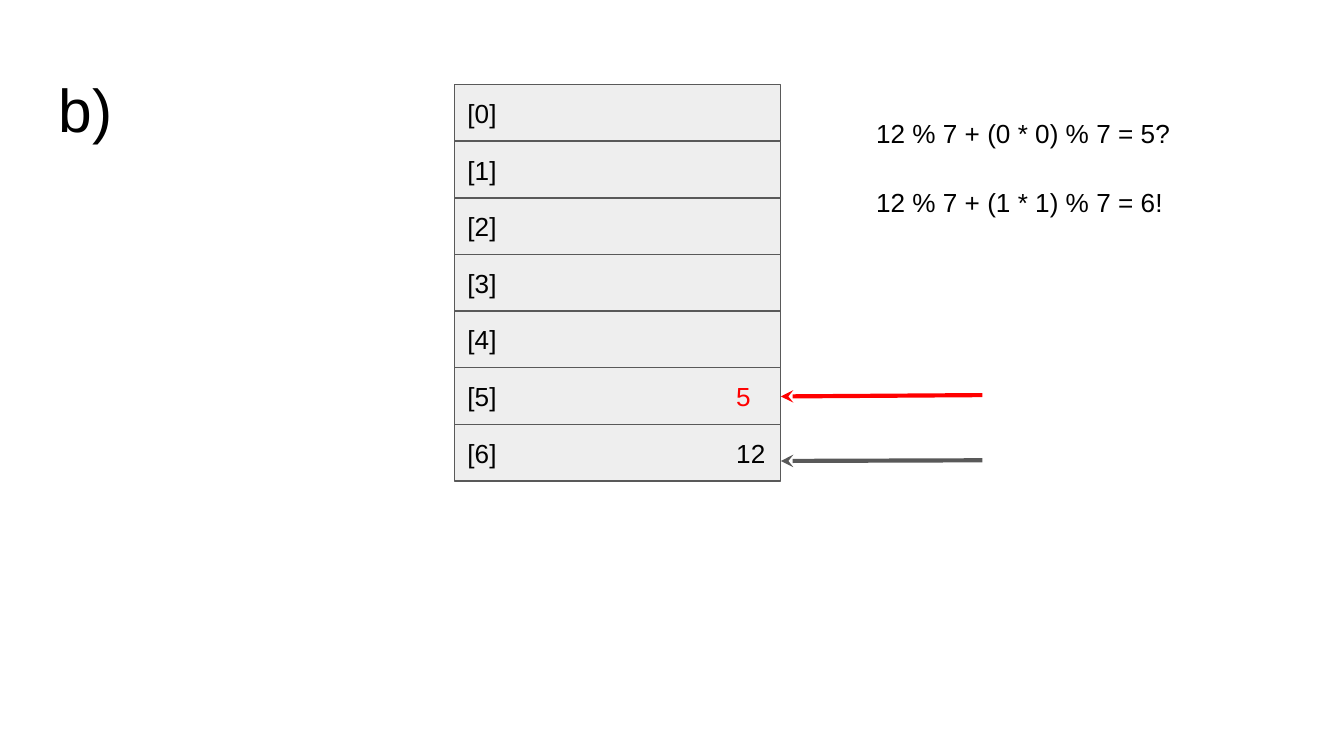
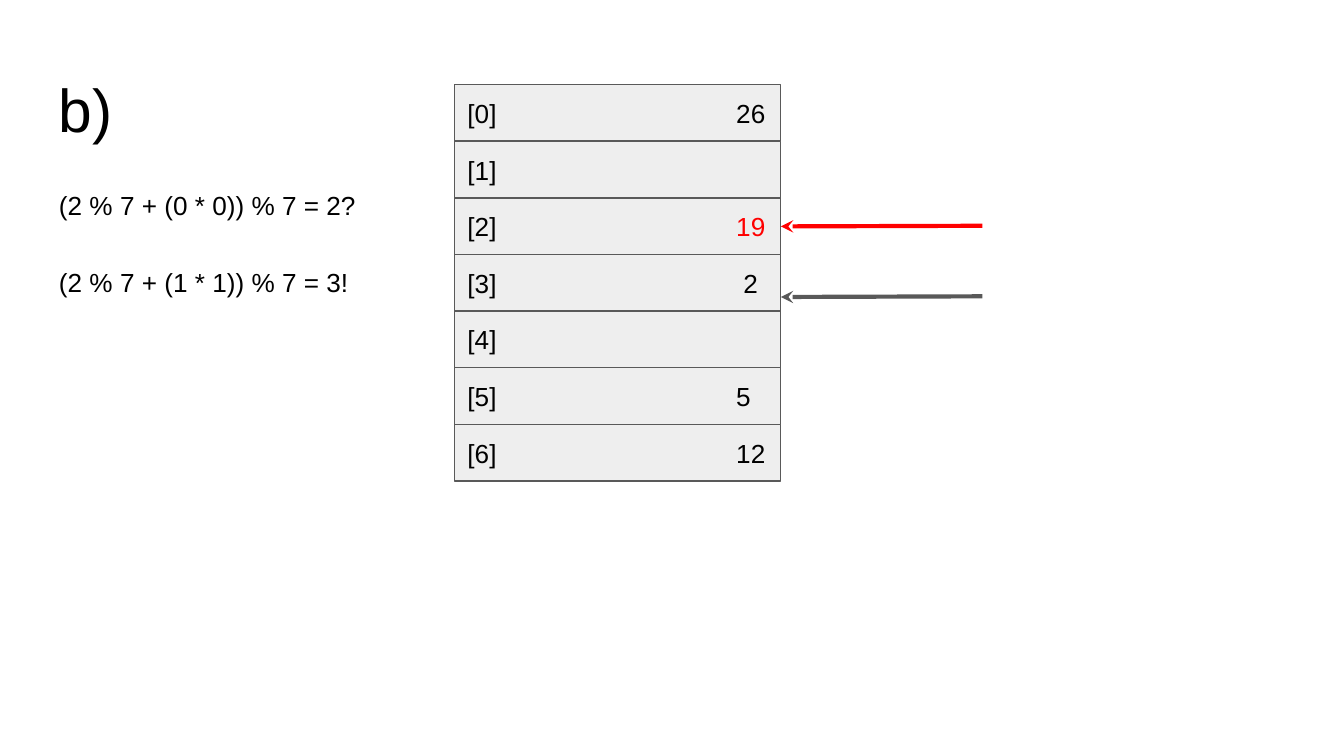
from dataclasses import dataclass

from lxml import etree
from pptx import Presentation
from pptx.dml.color import RGBColor
from pptx.enum.shapes import MSO_CONNECTOR, MSO_SHAPE
from pptx.enum.text import MSO_ANCHOR, MSO_AUTO_SIZE, PP_ALIGN
from pptx.oxml.ns import qn
from pptx.util import Emu, Pt

RECTANGLE = MSO_SHAPE.RECTANGLE
STRAIGHT = MSO_CONNECTOR.STRAIGHT
TOP, MIDDLE = MSO_ANCHOR.TOP, MSO_ANCHOR.MIDDLE
GROW = MSO_AUTO_SIZE.SHAPE_TO_FIT_TEXT
LEFT = PP_ALIGN.LEFT

EMU_PER_PX = 4572  # 200 px to the inch
SLIDE_SIZE = (2000, 1125)
INSET = 20
VALUE_TAB = 400
SLOT_COUNT = 7

TITLE_BOX = (68, 98, 1864, 126)
TABLE_BOX = (676, 126, 486, 590)
ARROW_LENGTH = 300


@dataclass(frozen=True)
class Theme:
    font: str = "Arial"
    text: str = "000000"
    slot: str = "EEEEEE"
    line: str = "595959"
    collision: str = "FF0000"
    title_size: float = 32.4
    body_size: float = 14
    border: float = 0.75
    arrow: float = 2.25


THEME = Theme()

SLIDES = [
    {
        "values": {5: "5", 6: "12"},
        "collision": 5,
        "arrows": [(588, 590, THEME.collision), (685, 686, THEME.line)],
        "probe_box": (1284, 154, 500, 88),
        "probe_step": 104,
        "probes": ["12 % 7 + (0 * 0) % 7 = 5?", "12 % 7 + (1 * 1) % 7 = 6!"],
    },
    {
        "values": {0: "26", 2: "19", 3: " 2", 5: "5", 6: "12"},
        "collision": 2,
        "arrows": [(441, 442, THEME.line), (336, 337, THEME.collision)],
        "probe_box": (68, 262, 518, 88),
        "probe_step": 114,
        "probes": ["(2 % 7 + (0 * 0)) % 7 = 2?", "(2 % 7 + (1 * 1)) % 7 = 3!"],
    },
]


def px(length):
    return Emu(round(length * EMU_PER_PX))


def rgb(color):
    return RGBColor.from_string(color)


def add_span(para, text, size=THEME.body_size, color=THEME.text):
    span = para.add_run()
    span.text = text
    span.font.name = THEME.font
    span.font.size = Pt(size)
    span.font.color.rgb = rgb(color)


def set_frame(shape, anchor):
    """Set wrapping, insets and anchor, and return the first paragraph."""
    frame = shape.text_frame
    frame.word_wrap = True
    frame.vertical_anchor = anchor
    frame.margin_left = frame.margin_right = px(INSET)
    frame.margin_top = frame.margin_bottom = px(INSET)
    para = frame.paragraphs[0]
    para.alignment = LEFT
    return para


def add_text(page, text, box, anchor=TOP, **span_format):
    shape = page.shapes.add_textbox(*map(px, box))
    add_span(set_frame(shape, anchor), text, **span_format)
    return shape


def add_tab_stop(para, position):
    tabs = etree.SubElement(para._p.get_or_add_pPr(), qn("a:tabLst"))
    etree.SubElement(tabs, qn("a:tab"), pos=str(px(position)), algn="l")


def add_slot(page, box, index, value, color):
    slot = page.shapes.add_shape(RECTANGLE, *map(px, box))
    slot.shadow.inherit = False
    slot.fill.solid()
    slot.fill.fore_color.rgb = rgb(THEME.slot)
    slot.line.color.rgb = rgb(THEME.line)
    slot.line.width = Pt(THEME.border)
    para = set_frame(slot, MIDDLE)
    if value is None:
        add_span(para, f"[{index}]")
    else:
        add_tab_stop(para, VALUE_TAB)
        add_span(para, f"[{index}]\t")
        add_span(para, value, color=color)


def add_hash_table(page, box, values, collision):
    left, top, width, height = box
    step = height / SLOT_COUNT
    for index in range(SLOT_COUNT):
        color = THEME.collision if index == collision else THEME.text
        slot_box = (left, top + index * step, width, step)
        add_slot(page, slot_box, index, values.get(index), color)


def add_arrow(page, tip, start_y, tip_y, color):
    """Draw an arrow that points left at the edge of the table."""
    points = (tip + ARROW_LENGTH, start_y, tip, tip_y)
    arrow = page.shapes.add_connector(STRAIGHT, *map(px, points))
    arrow.line.color.rgb = rgb(color)
    arrow.line.width = Pt(THEME.arrow)
    properties = arrow._element.spPr
    outline = properties.find(qn("a:ln"))
    etree.SubElement(outline, qn("a:tailEnd"), type="stealth")
    etree.SubElement(properties, qn("a:effectLst"))


def add_probes(page, box, probes, step):
    left, top, width, height = box
    for order, probe in enumerate(probes):
        shape = add_text(page, probe, (left, top + order * step, width, height))
        shape.text_frame.auto_size = GROW


def add_hash_slide(deck, content):
    page = deck.slides.add_slide(deck.slide_layouts[6])
    add_hash_table(page, TABLE_BOX, content["values"], content["collision"])
    table_edge = TABLE_BOX[0] + TABLE_BOX[2]
    for start_y, tip_y, color in content["arrows"]:
        add_arrow(page, table_edge, start_y, tip_y, color)
    add_text(page, "b)", TITLE_BOX, anchor=MIDDLE, size=THEME.title_size)
    add_probes(page, content["probe_box"], content["probes"], content["probe_step"])


def main():
    deck = Presentation()
    deck.slide_width, deck.slide_height = map(px, SLIDE_SIZE)
    for content in SLIDES:
        add_hash_slide(deck, content)
    deck.save("out.pptx")


if __name__ == "__main__":
    main()
